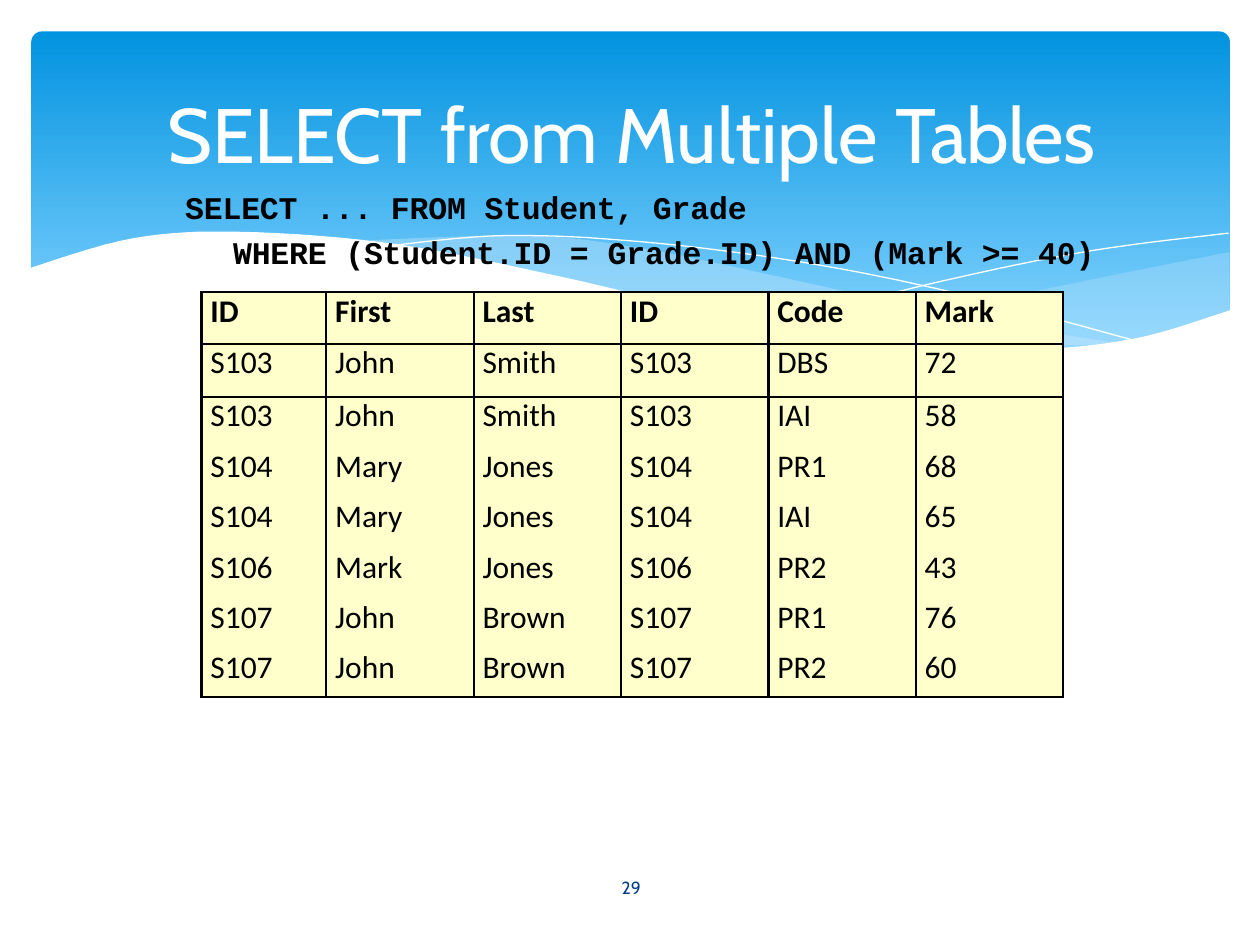
import pptx
import pptx.dml.color
import pptx.enum.shapes
import pptx.enum.text
import pptx.oxml.ns
import pptx.util
from lxml import etree

Inches, Pt = pptx.util.Inches, pptx.util.Pt
RGBColor = pptx.dml.color.RGBColor
PP_ALIGN = pptx.enum.text.PP_ALIGN
ANCHOR = pptx.enum.text.MSO_ANCHOR
qn = pptx.oxml.ns.qn

WHITE = RGBColor.from_string("FFFFFF")
BLACK = RGBColor.from_string("000000")
SKY_TOP = RGBColor.from_string("0293E0")
SKY_BOTTOM = RGBColor.from_string("83D3FE")
MIST = RGBColor.from_string("C6E7FC")
NAVY = RGBColor.from_string("073E87")
CREAM = RGBColor.from_string("FFFFCC")

# Text: each paragraph is a list of (words, letter spacing in points)
TITLE = [("SELECT ", -0.1), ("from ", -0.2), ("Multiple ", 0), ("Tables", -0.6)]
QUERY_SELECT = [("SELECT ... FROM Student, Grade", -0.1)]
QUERY_WHERE = [("WHERE (Student.ID ", -0.1), ("= ", 0), ("Grade.ID) AND (Mark >= 40)", -0.1)]
PAGE_NUMBER = [("29", 0)]

TITLE_FONT = {"name": "Cabin", "size": Pt(44), "color": WHITE}
QUERY_FONT = {"name": "Courier New", "size": Pt(18), "color": BLACK, "bold": True}
NUMBER_FONT = {"name": "Cabin", "size": Pt(10), "color": NAVY}
CELL_FONT = {"name": "Calibri", "size": Pt(18), "color": BLACK}

# Joined table
ROWS = [
    ("ID", "First", "Last", "ID", "Code", "Mark"),
    ("S103", "John", "Smith", "S103", "DBS", "72"),
    ("S103", "John", "Smith", "S103", "IAI", "58"),
    ("S104", "Mary", "Jones", "S104", "PR1", "68"),
    ("S104", "Mary", "Jones", "S104", "IAI", "65"),
    ("S106", "Mark", "Jones", "S106", "PR2", "43"),
    ("S107", "John", "Brown", "S107", "PR1", "76"),
    ("S107", "John", "Brown", "S107", "PR2", "60"),
]
COLUMN_WIDTHS = [0.99] + [1.17] * 5
ROW_HEIGHTS = [0.41, 0.42] + [0.4] * 5 + [0.38]
SPACE_BEFORE = [1.7, 1.6] + [0.9] * 6
RULED_ROWS = (0, 1, 2)  # rows with a line above them

# Waves, back to front: curves through a few points, joined at corners
WAVES = [
    {"fill": MIST, "opacity": 29, "curves": [
        [(9.76, 2), (8.61, 2.23), (6.61, 2.65)],
        [(6.61, 2.65), (7.45, 2.75), (8.14, 2.78), (8.89, 2.72), (9.76, 2.47)]]},
    {"fill": MIST, "opacity": 40, "curves": [
        [(8.93, 2.73), (7.75, 2.54), (6.29, 2.22), (5.14, 1.98), (4.2, 1.87), (2.86, 1.91)],
        [(2.86, 1.91), (4.49, 2.22), (6.01, 2.55), (7.22, 2.74), (8.93, 2.73)]]},
    {"fill": None, "curves": [
        [(3.09, 1.95), (4.01, 1.87), (5.1, 1.92), (6.36, 2.08), (7.6, 2.33), (9.07, 2.72)]]},
    {"fill": None, "curves": [[(6.13, 2.57), (7.48, 2.23), (8.66, 1.99), (9.75, 1.85)]]},
    {"fill": WHITE, "opacity": 100, "curves": [
        [(9.77, 2.46), (8.99, 2.69), (8.09, 2.77), (6.88, 2.68), (5.55, 2.45), (4.47, 2.2),
         (3.16, 1.94), (1.93, 1.84), (1.06, 1.89), (0.23, 2.13)],
        [(0.23, 3.29), (9.77, 3.29)]]},
]
CURVE_STEPS = 8


def smooth(points):
    """Catmull-Rom curve through the points."""
    padded = [points[0], *points, points[-1]]
    curve = [points[0]]
    for a, b, c, d in zip(padded, padded[1:], padded[2:], padded[3:]):
        for step in range(1, CURVE_STEPS + 1):
            t = step / CURVE_STEPS
            curve.append(tuple(
                q + t / 2 * (r - p + t * (2 * p - 5 * q + 4 * r - s
                                          + t * (3 * (q - r) + s - p)))
                for p, q, r, s in zip(a, b, c, d)))
    return curve


def write_paragraph(paragraph, runs, font, indent=0, **layout):
    paragraph._p.get_or_add_pPr().set("marL", str(Inches(indent)))
    for name, value in layout.items():
        setattr(paragraph, name, value)
    for words, spacing in runs:
        run = paragraph.add_run()
        run.text = words
        for name, value in font.items():
            if name == "color":
                run.font.color.rgb = value
            else:
                setattr(run.font, name, value)
        run.font._element.set("spc", str(round(spacing * 100)))


def remove_margins(holder):
    for side in ("left", "right", "top", "bottom"):
        setattr(holder, "margin_" + side, 0)


def add_text_frame(slide, box, anchor):
    frame = slide.shapes.add_textbox(*map(Inches, box)).text_frame
    frame.word_wrap = True
    frame.vertical_anchor = anchor
    remove_margins(frame)
    return frame


def add_wave(slide, wave):
    start, *rest = [(round(x * 1000), round(y * 1000))
                    for curve in wave["curves"] for x, y in smooth(curve)]
    builder = slide.shapes.build_freeform(*start, scale=Inches(1) / 1000)
    builder.add_line_segments(rest, close=wave["fill"] is not None)
    shape = builder.convert_to_shape()
    shape.shadow.inherit = False
    if wave["fill"] is None:
        shape.fill.background()
        shape.line.color.rgb = WHITE
        shape.line.width = Pt(0)
        return
    shape.line.fill.background()
    shape.fill.solid()
    shape.fill.fore_color.rgb = wave["fill"]
    if wave["opacity"] < 100:
        color = shape._element.spPr.find(qn("a:solidFill"))[0]
        etree.SubElement(color, qn("a:alpha"), val=str(wave["opacity"] * 1000))


def set_borders(cell, ruled):
    properties = cell._tc.get_or_add_tcPr()
    for side in "LRTB":
        line = etree.SubElement(properties, qn("a:ln" + side), w=str(Pt(1.5)))
        if side in ruled:
            fill = etree.SubElement(line, qn("a:solidFill"))
            etree.SubElement(fill, qn("a:srgbClr"), val=str(BLACK))
        else:
            etree.SubElement(line, qn("a:noFill"))


def add_joined_table(slide):
    table = slide.shapes.add_table(
        len(ROWS), len(COLUMN_WIDTHS), Inches(1.6), Inches(2.32),
        Inches(sum(COLUMN_WIDTHS)), Inches(sum(ROW_HEIGHTS))).table
    table.first_row = table.horz_banding = False
    for column, width in zip(table.columns, COLUMN_WIDTHS):
        column.width = Inches(width)
    for i, values in enumerate(ROWS):
        table.rows[i].height = Inches(ROW_HEIGHTS[i])
        ruled = "LR"
        ruled += "T" if i in RULED_ROWS else ""
        ruled += "B" if i + 1 in (*RULED_ROWS, len(ROWS)) else ""
        for j, value in enumerate(values):
            cell = table.cell(i, j)
            remove_margins(cell)
            set_borders(cell, ruled)
            cell.fill.solid()
            cell.fill.fore_color.rgb = CREAM
            write_paragraph(cell.text_frame.paragraphs[0], [(value, 0)],
                            {**CELL_FONT, "bold": i == 0}, 0.07,
                            space_before=Pt(SPACE_BEFORE[i]))


def main():
    presentation = pptx.Presentation()
    presentation.slide_width, presentation.slide_height = Inches(10), Inches(7.5)
    slide = presentation.slides.add_slide(presentation.slide_layouts[6])

    # Sky banner and waves
    banner = slide.shapes.add_shape(pptx.enum.shapes.MSO_SHAPE.ROUNDED_RECTANGLE,
                                    *map(Inches, (0.25, 0.25, 9.51, 2.7)))
    banner.adjustments[0] = 0.03
    banner.shadow.inherit = False
    banner.line.fill.background()
    banner.fill.gradient()
    banner.fill.gradient_angle = 270
    for stop, color, position in zip(banner.fill.gradient_stops, (SKY_TOP, SKY_BOTTOM), (0, 0.9)):
        stop.color.rgb = color
        stop.position = position
    for wave in WAVES:
        add_wave(slide, wave)

    # Page number, title and query
    number = add_text_frame(slide, (4.36, 6.84, 1.27, 0.4), ANCHOR.MIDDLE)
    write_paragraph(number.paragraphs[0], PAGE_NUMBER, NUMBER_FONT, 0.03,
                    alignment=PP_ALIGN.CENTER, line_spacing=Pt(12.4))
    title = add_text_frame(slide, (0.5, 0.37, 9, 1.37), ANCHOR.MIDDLE)
    write_paragraph(title.paragraphs[0], TITLE, TITLE_FONT, 0.02, alignment=PP_ALIGN.CENTER)
    query = add_text_frame(slide, (1.46, 1.49, 7.27, 0.69), ANCHOR.TOP)
    write_paragraph(query.paragraphs[0], QUERY_SELECT, QUERY_FONT, 0.01)
    write_paragraph(query.add_paragraph(), QUERY_WHERE, QUERY_FONT, 0.39, space_before=Pt(4.3))

    add_joined_table(slide)
    presentation.save("out.pptx")


if __name__ == "__main__":
    main()
